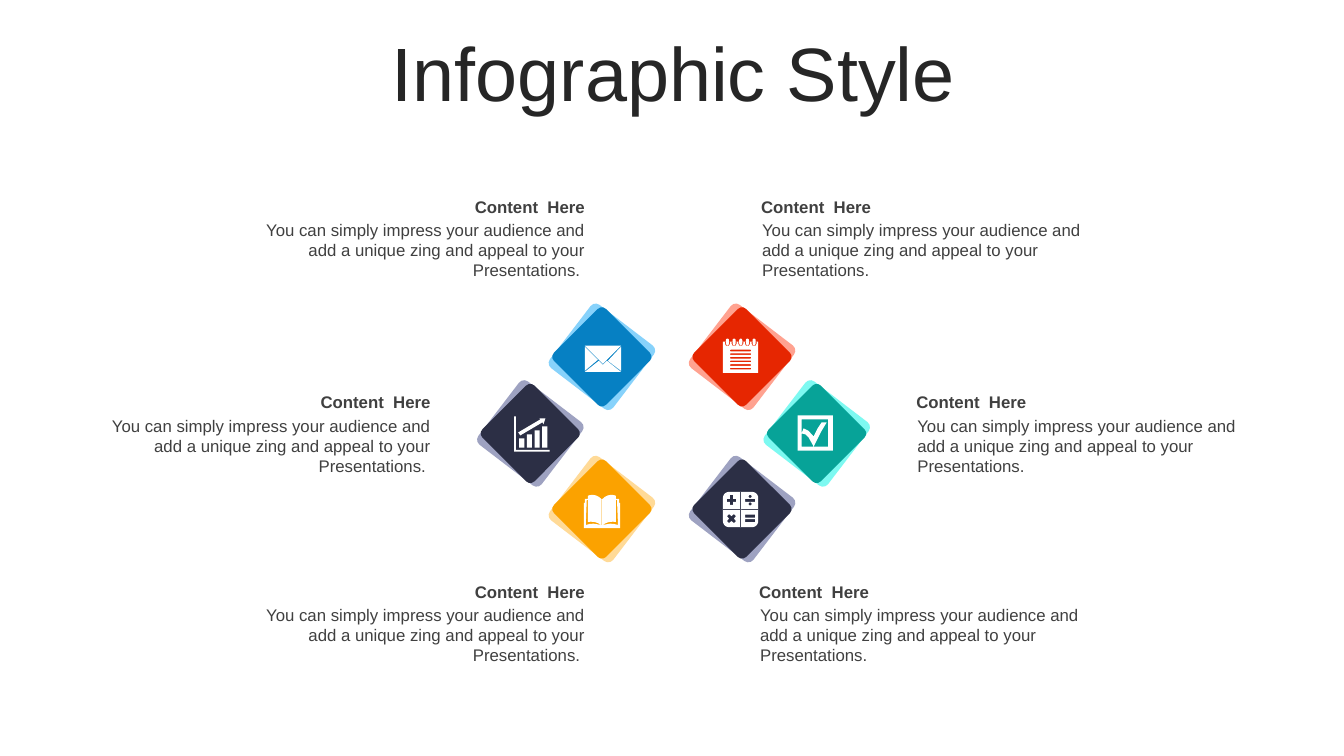
from dataclasses import dataclass
from math import cos, pi, sin

from pptx import Presentation
from pptx.dml.color import RGBColor
from pptx.enum.shapes import MSO_SHAPE
from pptx.enum.text import MSO_ANCHOR, MSO_AUTO_SIZE, PP_ALIGN
from pptx.util import Inches, Pt

Contour = list[tuple[float, float]]

HEADING = "Content  Here"
BODY = ("You can simply impress your audience and add a unique zing "
        "and appeal to your Presentations.")


@dataclass
class Icon:
    left: float
    top: float
    contours: list[Contour]


@dataclass
class Item:
    center_x: float
    center_y: float
    fill: str
    halo: str
    text_left: float
    text_top: float
    align: PP_ALIGN
    icon: Icon


def color(value: str) -> RGBColor:
    return RGBColor.from_string(value)


def box(x: float, y: float, w: float, h: float) -> Contour:
    return [(x, y), (x + w, y), (x + w, y + h), (x, y + h)]


def round_box(x: float, y: float, w: float, h: float, r: float) -> Contour:
    corners = [(x + w - r, y + h - r), (x + r, y + h - r), (x + r, y + r), (x + w - r, y + r)]
    return [(cx + r * cos((quarter + step / 6) * pi / 2),
             cy + r * sin((quarter + step / 6) * pi / 2))
            for quarter, (cx, cy) in enumerate(corners) for step in range(7)]


def envelope() -> list[Contour]:
    return [
        [(22, 15), (36, 26), (0, 26), (14, 15), (18, 19)],
        [(36, 1), (36, 25), (23, 15)],
        [(0, 1), (13, 14), (0, 25)],
        [(0, 0), (36, 0), (18, 18)],
    ]


def notepad() -> list[Contour]:
    contours = [box(0, 3, 35, 31)]
    for i in range(6):
        contours.append(round_box(7, 11 + 3.6 * i, 21, 1.6, 0.8))
    for i in range(5):
        x = 2 + 6.6 * i
        contours.append([(x, 3), (x, 5), (x + 1, 7), (x + 4, 7), (x + 5, 5), (x + 5, 3)])
        contours.append(round_box(x + 1, 0, 3, 6.4, 1.5))
    return contours


def bar_chart() -> list[Contour]:
    bars = [box(5 + 7.6 * i, 22 - 4 * i, 5, 9 + 4 * i) for i in range(4)]
    arrow = [(25, 2), (31, 2), (29, 8), (28, 6), (6, 19), (4, 16), (26, 3)]
    axes = [(0, 0), (1.6, 0), (1.6, 33.4), (35, 33.4), (35, 35), (0, 35)]
    return [*bars, arrow, axes]


def calculator() -> list[Contour]:
    plus = [(7, 3), (10, 3), (10, 7), (13, 7), (13, 10), (10, 10),
            (10, 13), (7, 13), (7, 10), (4, 10), (4, 7), (7, 7)]
    times = [(6, 22), (4, 24), (6, 26.5), (4, 29), (6, 31), (8.5, 29),
             (11, 31), (13, 29), (11, 26.5), (13, 24), (11, 22), (8.5, 24)]
    return [
        round_box(0, 0, 35, 35, 6),
        box(17, 0, 1, 35), box(0, 17, 17, 1), box(18, 17, 17, 1),
        plus, times,
        box(22, 7, 10, 3), round_box(25.5, 3, 3, 3, 1.5), round_box(25.5, 10.5, 3, 3, 1.5),
        box(22, 22.5, 10, 3), box(22, 27, 10, 3),
    ]


def book() -> list[Contour]:
    edge = [(0, 33), (0, 8), (1, 8), (1, 4), (4, 4), (4, 1), (6, 0.2),
            (9, 0), (12, 0.5), (15, 2), (18, 4.5)]
    page = [(17.5, 30), (14, 28), (11, 27), (7, 26.6), (4, 27), (4, 5), (3, 5),
            (2, 30), (6, 28.8), (10, 28.6), (14, 29.3)]

    def mirror(points: Contour) -> Contour:
        return [(36 - x, y) for x, y in reversed(points)]

    return [edge + mirror(edge), page, mirror(page), box(17.75, 4.5, 0.5, 25.5)]


def checkbox() -> list[Contour]:
    tick = [(16, 31), (11, 22), (8, 19), (4, 18), (6, 13), (11, 15.5), (16, 21),
            (20, 13), (24, 7), (29, 7), (23, 17)]
    return [box(0, 0, 35, 35), box(4, 4, 26.5, 27), tick]


def draw_icon(slide, icon: Icon) -> None:
    paths = [[(Inches(icon.left + x / 100), Inches(icon.top + y / 100)) for x, y in contour]
             for contour in icon.contours]
    builder = slide.shapes.build_freeform(*paths[0][0], scale=1.0)
    builder.add_line_segments(paths[0][1:], close=True)
    for points in paths[1:]:
        builder.move_to(*points[0])
        builder.add_line_segments(points[1:], close=True)
    sp = builder.convert_to_shape()
    paint(sp, "FFFFFF")


def paint(sp, fill: str) -> None:
    sp.shadow.inherit = False
    sp.fill.solid()
    sp.fill.fore_color.rgb = color(fill)
    sp.line.fill.background()


def draw_diamond(slide, item: Item) -> None:
    for size, rotation, fill in ((0.79, 307.4, item.halo), (0.73, 315, item.fill)):
        sp = slide.shapes.add_shape(
            MSO_SHAPE.ROUNDED_RECTANGLE,
            Inches(item.center_x - size / 2), Inches(item.center_y - size / 2),
            Inches(size), Inches(size))
        sp.adjustments[0] = 0.08
        sp.rotation = rotation
        paint(sp, fill)


def add_text(slide, left: float, top: float, width: float, height: float, text: str,
             size: float, fill: str, align: PP_ALIGN, bold: bool = False,
             anchor: MSO_ANCHOR = MSO_ANCHOR.MIDDLE, grow: bool = True):
    tf = slide.shapes.add_textbox(
        Inches(left), Inches(top), Inches(width), Inches(height)).text_frame
    tf.word_wrap = True
    tf.auto_size = MSO_AUTO_SIZE.SHAPE_TO_FIT_TEXT if grow else MSO_AUTO_SIZE.NONE
    tf.vertical_anchor = anchor
    p = tf.paragraphs[0]
    p.text = text
    p.alignment = align
    p.font.name = "Arial"
    p.font.size = Pt(size)
    p.font.bold = bold
    p.font.color.rgb = color(fill)
    return p


def draw_caption(slide, item: Item) -> None:
    body = BODY + " " if item.align == PP_ALIGN.RIGHT else BODY
    add_text(slide, item.text_left, item.text_top, 3.53, 0.3, HEADING,
             12, "404040", item.align, bold=True)
    add_text(slide, item.text_left + 0.01, item.text_top + 0.23, 3.52, 0.71, body,
             12, "404040", item.align, anchor=MSO_ANCHOR.TOP)


def main() -> None:
    prs = Presentation()
    prs.slide_width, prs.slide_height = Inches(13.33), Inches(7.5)
    slide = prs.slides.add_slide(prs.slide_layouts[6])

    title = add_text(slide, 0.35, 0.37, 12.66, 0.79, "Infographic Style",
                     54, "262626", PP_ALIGN.CENTER, grow=False)
    title.line_spacing = 0.9

    left, right = PP_ALIGN.LEFT, PP_ALIGN.RIGHT
    items = [
        Item(7.36, 5.05, "2C2F45", "9EA2C1", 7.43, 5.72, left, Icon(7.17, 4.88, calculator())),
        Item(5.97, 5.05, "FBA200", "FFDA97", 2.37, 5.72, right, Icon(5.79, 4.91, book())),
        Item(5.97, 3.54, "0680C3", "87D2FB", 2.37, 1.9, right, Icon(5.8, 3.43, envelope())),
        Item(8.1, 4.3, "07A398", "7DF9F1", 8.99, 3.84, left, Icon(7.91, 4.12, checkbox())),
        Item(7.36, 3.54, "E62601", "FFA290", 7.45, 1.9, left, Icon(7.17, 3.36, notepad())),
        Item(5.26, 4.3, "2C2F45", "9EA2C1", 0.84, 3.84, right, Icon(5.1, 4.13, bar_chart())),
    ]
    for item in items:
        draw_diamond(slide, item)
        draw_caption(slide, item)
        draw_icon(slide, item.icon)

    prs.save("out.pptx")


if __name__ == "__main__":
    main()
